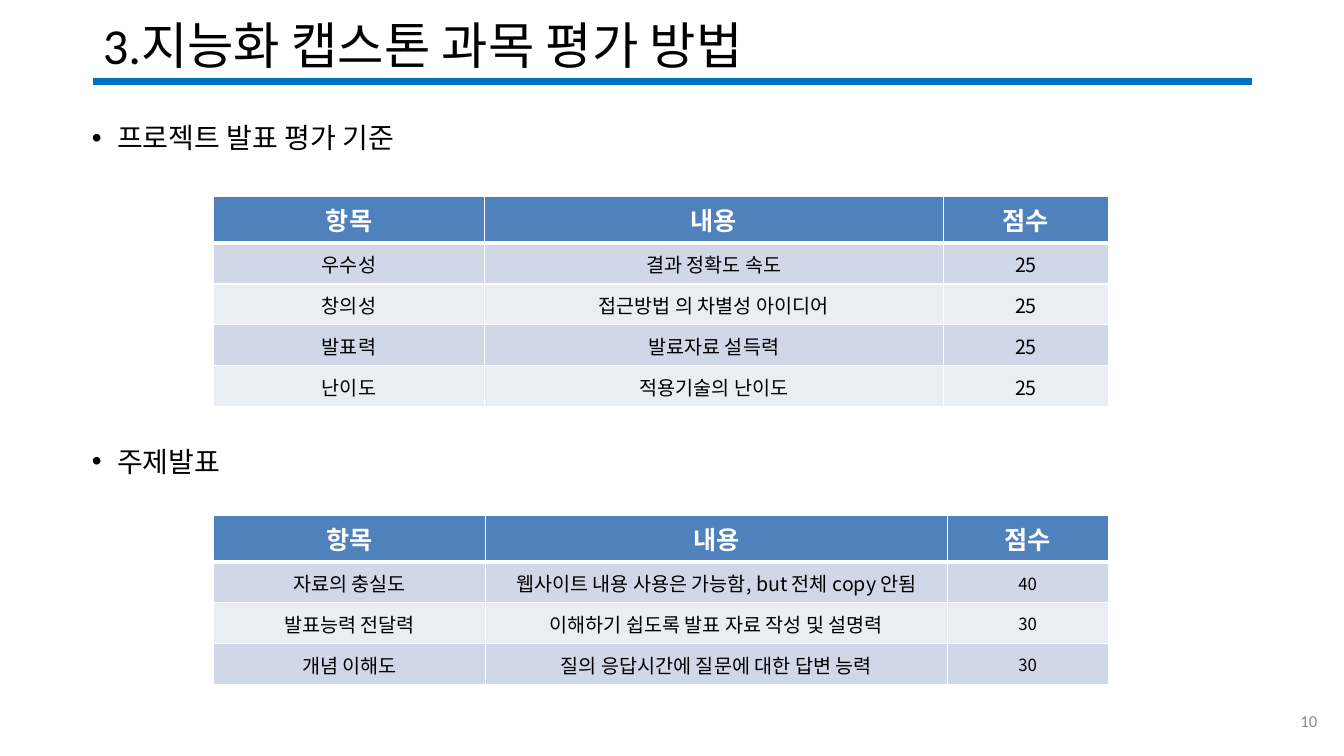
import dataclasses

import pptx
import pptx.dml.color
import pptx.enum.shapes
import pptx.enum.text
import pptx.oxml
import pptx.oxml.ns
import pptx.util

Cm = pptx.util.Cm
Pt = pptx.util.Pt
ALIGN = pptx.enum.text.PP_ALIGN
ANCHOR = pptx.enum.text.MSO_ANCHOR


@dataclasses.dataclass
class Theme:
    font: str = "Calibri"
    cjk: str = "Noto Sans CJK KR"
    ink: str = "000000"
    white: str = "FFFFFF"
    rule: str = "0070C0"
    header: str = "4F81BD"
    bands: tuple = ("D0D8E8", "E9EDF4")
    muted: str = "8C8C8C"
    title: int = 36
    bullet: int = 20
    head: int = 18
    cell: int = 14
    small: int = 12


def rgb(color):
    return pptx.dml.color.RGBColor.from_string(color)


def element(tag, **attrs):
    el = pptx.oxml.parse_xml(f"<a:{tag} {pptx.oxml.ns.nsdecls('a')}/>")
    for key, value in attrs.items():
        el.set(key, str(value))
    return el


def write(p, text, size, color, font, cjk, bold=False, align=ALIGN.LEFT,
          spacing=None, before=None):
    p.alignment = align
    if spacing:
        p.line_spacing = spacing
    if before is not None:
        p.space_before = Pt(before)
    r = p.add_run()
    r.text = text
    r.font.size = Pt(size)
    r.font.bold = bold
    r.font.color.rgb = rgb(color)
    r.font.name = font
    r.font._element.append(element("ea", typeface=cjk))


class SlideBuilder:
    def __init__(self, prs, theme):
        self.t = theme
        self.s = prs.slides.add_slide(prs.slide_layouts[1])

    def place(self, sp, left, top, width, height):
        sp.left, sp.top, sp.width, sp.height = map(Cm, (left, top, width, height))
        tf = sp.text_frame
        tf.word_wrap = True
        tf.auto_size = pptx.enum.text.MSO_AUTO_SIZE.NONE
        return tf

    def title(self, text, *box):
        tf = self.place(self.s.shapes.title, *box)
        tf.vertical_anchor = ANCHOR.MIDDLE
        write(tf.paragraphs[0], text, self.t.title, self.t.ink, self.t.font,
              self.t.cjk, spacing=0.9)

    def rule(self, left, right, y):
        line = self.s.shapes.add_connector(
            pptx.enum.shapes.MSO_CONNECTOR.STRAIGHT, Cm(left), Cm(y), Cm(right), Cm(y))
        line.line.color.rgb = rgb(self.t.rule)
        line.line.width = Pt(5)
        line._element.spPr.append(element("effectLst"))

    def bullets(self, items, *box):
        tf = self.place(self.s.placeholders[1], *box)
        tf.vertical_anchor = ANCHOR.TOP
        for i, (text, before) in enumerate(items):
            p = tf.add_paragraph() if i else tf.paragraphs[0]
            write(p, text, self.t.bullet, self.t.ink, self.t.font, self.t.cjk,
                  spacing=1.5, before=before)
            pPr = p._p.get_or_add_pPr()
            pPr.set("marL", str(Cm(0.64)))
            pPr.set("indent", str(-Cm(0.64)))
            pPr.append(element("buFont", typeface="Arial"))
            pPr.append(element("buChar", char="•"))

    def page_number(self, text, *box):
        sp = self.s.shapes.add_textbox(*map(Cm, box))
        tf = self.place(sp, *box)
        tf.vertical_anchor = ANCHOR.MIDDLE
        write(tf.paragraphs[0], text, self.t.small, self.t.muted, self.t.font,
              self.t.cjk, align=ALIGN.RIGHT)

    def borders(self, cell, top, bottom):
        tcPr = cell._tc.get_or_add_tcPr()
        for i, (side, width) in enumerate(zip("LRTB", (1, 1, top, bottom))):
            ln = element(f"ln{side}", w=Pt(width))
            fill = element("solidFill")
            fill.append(element("srgbClr", val=self.t.white))
            ln.append(fill)
            tcPr.insert(i, ln)

    def table(self, rows, left, top, widths, row_height, score_size):
        t = self.t
        frame = self.s.shapes.add_table(
            len(rows), len(widths), Cm(left), Cm(top), Cm(sum(widths)),
            Cm(row_height * len(rows)))
        tbl = frame.table
        tbl.horz_banding = False
        for col, width in zip(tbl.columns, widths):
            col.width = Cm(width)
        for i, values in enumerate(rows):
            tbl.rows[i].height = Cm(row_height)
            for j, text in enumerate(values):
                cell = tbl.cell(i, j)
                p = cell.text_frame.paragraphs[0]
                cell.fill.solid()
                if i == 0:
                    cell.fill.fore_color.rgb = rgb(t.header)
                    write(p, text, t.head, t.white, t.font, t.cjk, bold=True,
                          align=ALIGN.CENTER)
                else:
                    cell.fill.fore_color.rgb = rgb(t.bands[(i - 1) % 2])
                    cell.vertical_anchor = ANCHOR.MIDDLE
                    cell.margin_left = cell.margin_right = cell.margin_top = Cm(0.03)
                    cell.margin_bottom = 0
                    size = score_size if j == len(widths) - 1 else t.cell
                    write(p, text, size, t.ink, t.cjk, t.cjk, align=ALIGN.CENTER)
                self.borders(cell, 3 if i == 1 else 1, 3 if i == 0 else 1)


def main():
    prs = pptx.Presentation()
    prs.slide_width, prs.slide_height = Cm(33.87), Cm(19.05)
    theme = Theme()
    s = SlideBuilder(prs, theme)
    header = ("항목", "내용", "점수")
    s.rule(2.34, 31.55, 2.06)
    s.title("3.지능화 캡스톤 과목 평가 방법", 2.34, 0.36, 29.21, 1.73)
    s.bullets([("프로젝트 발표 평가 기준", 10), ("주제발표", 195)],
              2.06, 2.49, 29.21, 14.73)
    s.page_number("10", 25.83, 17.65, 7.62, 1.02)
    s.table([header,
             ("우수성", "결과 정확도 속도", "25"),
             ("창의성", "접근방법 의 차별성 아이디어", "25"),
             ("발표력", "발료자료 설득력", "25"),
             ("난이도", "적용기술의 난이도", "25")],
            5.38, 4.95, (6.83, 11.56, 4.17), 1.03, theme.cell)
    s.table([header,
             ("자료의 충실도", "웹사이트 내용 사용은 가능함, but 전체 copy 안됨", "40"),
             ("발표능력 전달력", "이해하기 쉽도록 발표 자료 작성 및 설명력", "30"),
             ("개념 이해도", "질의 응답시간에 질문에 대한 답변 능력", "30")],
            5.38, 12.98, (6.86, 11.63, 4.06), 1.03, theme.small)
    prs.save("out.pptx")


if __name__ == "__main__":
    main()
